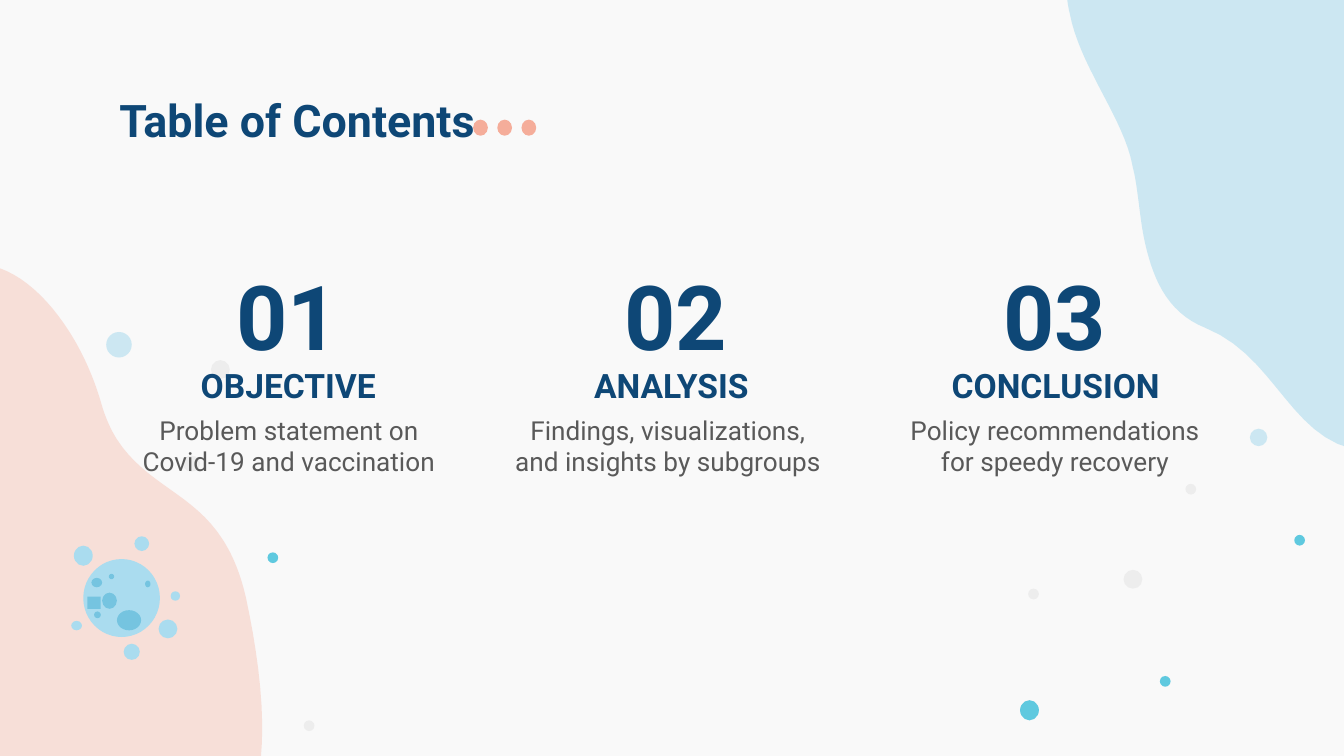
import pptx
import pptx.dml.color
import pptx.enum.shapes
import pptx.enum.text
import pptx.oxml
import pptx.oxml.ns
import pptx.util
from pptx.util import Inches

RGBColor = pptx.dml.color.RGBColor
MSO_SHAPE = pptx.enum.shapes.MSO_SHAPE
PP_ALIGN = pptx.enum.text.PP_ALIGN
MSO_ANCHOR = pptx.enum.text.MSO_ANCHOR

BACKGROUND = RGBColor(0xF9, 0xF9, 0xF9)
NAVY = RGBColor(0x0E, 0x47, 0x76)
GRAY = RGBColor(0x59, 0x59, 0x59)
PALE_GRAY = RGBColor(0xED, 0xED, 0xED)
SKY = RGBColor(0xAA, 0xDB, 0xEE)
TEAL = RGBColor(0x02, 0xAC, 0xD0)
CORAL = RGBColor(0xF5, 0xAD, 0x9A)
VIRUS_LIGHT = RGBColor(0xAA, 0xDC, 0xEF)
VIRUS_DARK = RGBColor(0x75, 0xC4, 0xE0)
FONT = "Roboto"
CURVE_STEPS = 16

# Each blob: start point, then (control, control, end) for every curve
BLUE_BLOB = ((7.96, 0.1), [
    (8.03, 0.47, 8.32, 0.83, 8.41, 1.16), (8.42, 1.2, 8.43, 1.25, 8.44, 1.29),
    (8.47, 1.44, 8.48, 1.6, 8.51, 1.76), (8.57, 2.05, 8.67, 2.32, 8.97, 2.44),
    (9.59, 2.69, 9.62, 3.5, 10.44, 3.34), (11, 3.23, 11.23, 2.33, 11.34, 1.67),
    (11.37, 1.49, 11.37, 1.34, 11.35, 1.21), (11.27, 0.81, 10.97, 0.62, 10.9, 0.22),
    (10.88, 0.13, 10.87, 0.03, 10.88, -0.08), (10.9, -0.26, 10.89, -0.46, 10.86, -0.66),
    (10.79, -1.02, 10.61, -1.35, 10.28, -1.42), (9.04, -1.65, 8.09, -0.67, 7.97, -0.26),
    (7.93, -0.14, 7.93, -0.02, 7.96, 0.1)])
PINK_BLOB = ((-1.9, 4.24), [
    (-1.7, 4.56, -1.29, 4.79, -1.09, 5.07), (-1.06, 5.1, -1.04, 5.14, -1.01, 5.17),
    (-0.93, 5.3, -0.85, 5.45, -0.77, 5.59), (-0.61, 5.83, -0.42, 6.04, -0.09, 6.04),
    (0.58, 6.05, 0.9, 6.78, 1.61, 6.33), (2.08, 6.03, 1.97, 5.1, 1.83, 4.45),
    (1.79, 4.27, 1.73, 4.13, 1.66, 4.02), (1.44, 3.67, 1.09, 3.61, 0.87, 3.27),
    (0.82, 3.19, 0.78, 3.1, 0.75, 2.99), (0.7, 2.82, 0.62, 2.63, 0.51, 2.46),
    (0.31, 2.15, 0.03, 1.91, -0.3, 1.97), (-1.55, 2.22, -2.06, 3.48, -2.02, 3.9),
    (-2.01, 4.03, -1.97, 4.14, -1.9, 4.24)])

# Scattered dots: left, top, width, height
SKY_DOTS = [(0.79, 2.47, 0.19, 0.19), (9.3, 3.19, 0.13, 0.13)]
TEAL_DOTS = [(1.99, 4.11, 0.08, 0.08), (8.63, 5.03, 0.08, 0.08),
             (7.59, 5.21, 0.14, 0.15), (9.63, 3.98, 0.08, 0.08)]
GRAY_DOTS = [(1.36, 3.39, 0.13, 0.12), (2.26, 5.36, 0.08, 0.08),
             (1.57, 2.68, 0.14, 0.14), (8.82, 3.6, 0.08, 0.08),
             (7.65, 4.38, 0.08, 0.08), (8.36, 4.24, 0.14, 0.14)]
VIRUS_BODY = [(0.92, 4.79, 0.12, 0.12), (1, 3.99, 0.11, 0.11),
              (1.18, 4.61, 0.14, 0.14), (0.55, 4.06, 0.14, 0.15),
              (0.53, 4.62, 0.08, 0.07), (1.27, 4.4, 0.07, 0.07),
              (0.62, 4.16, 0.57, 0.58)]
VIRUS_SPOTS = [(0.7, 4.55, 0.05, 0.05), (0.76, 4.41, 0.11, 0.12),
               (0.87, 4.54, 0.18, 0.15), (0.68, 4.3, 0.08, 0.07),
               (1.08, 4.32, 0.04, 0.05), (0.81, 4.27, 0.04, 0.04)]

# Columns: number, heading, text, and the left edge of each
COLUMNS = [
    ("01", "OBJECTIVE", "Problem statement on Covid-19 and vaccination", 1.11, 1, 0.86),
    ("02", "ANALYSIS", "Findings, visualizations, and insights by subgroups", 4, 3.85, 3.68),
    ("03", "CONCLUSION", "Policy recommendations for speedy recovery", 6.82, 6.71, 6.56),
]


def paint(shape, color, opacity=100):
    shape.shadow.inherit = False
    shape.fill.solid()
    shape.fill.fore_color.rgb = color
    shape.line.fill.background()
    if opacity < 100:
        fill_color = shape.fill._xPr.find(".//" + pptx.oxml.ns.qn("a:srgbClr"))
        fill_color.append(pptx.oxml.parse_xml(
            f'<a:alpha {pptx.oxml.ns.nsdecls("a")} val="{opacity * 1000}"/>'))


def add_blob(slide, blob, color, opacity):
    start, curves = blob
    points = [start]
    for x1, y1, x2, y2, x3, y3 in curves:
        x0, y0 = points[-1]
        for step in range(1, CURVE_STEPS + 1):
            t = step / CURVE_STEPS
            a, b, c, d = (1 - t) ** 3, 3 * t * (1 - t) ** 2, 3 * t * t * (1 - t), t ** 3
            points.append((a * x0 + b * x1 + c * x2 + d * x3,
                           a * y0 + b * y1 + c * y2 + d * y3))
    corners = [(Inches(x), Inches(y)) for x, y in points]
    builder = slide.shapes.build_freeform(*corners[0])
    builder.add_line_segments(corners[1:], close=True)
    paint(builder.convert_to_shape(), color, opacity)


def add_shapes(slide, boxes, color, opacity=100, kind=MSO_SHAPE.OVAL):
    for box in boxes:
        shape = slide.shapes.add_shape(kind, *map(Inches, box))
        paint(shape, color, opacity)


def add_text(slide, text, box, size, color=NAVY, bold=True,
             align=PP_ALIGN.CENTER, anchor=MSO_ANCHOR.MIDDLE):
    frame = slide.shapes.add_textbox(*map(Inches, box)).text_frame
    frame.word_wrap = True
    frame.vertical_anchor = anchor
    frame.margin_left = frame.margin_right = Inches(0.1)
    frame.margin_top = frame.margin_bottom = Inches(0.1)
    paragraph = frame.paragraphs[0]
    paragraph.alignment = align
    run = paragraph.add_run()
    run.text = text
    run.font.name = FONT
    run.font.size = pptx.util.Pt(size)
    run.font.bold = bold
    run.font.color.rgb = color


def add_column(slide, number, heading, text, number_left, heading_left, text_left):
    add_text(slide, number, (number_left, 2.1, 2.06, 0.48), 48)
    add_text(slide, heading, (heading_left, 2.73, 2.29, 0.27), 18)
    add_text(slide, text, (text_left, 2.98, 2.58, 0.76), 14, GRAY, False,
             anchor=MSO_ANCHOR.TOP)


def main():
    # Widescreen slide, 16:9
    presentation = pptx.Presentation()
    presentation.slide_width = Inches(10)
    presentation.slide_height = Inches(10 * 9 / 16)
    slide = presentation.slides.add_slide(presentation.slide_layouts[6])
    slide.background.fill.solid()
    slide.background.fill.fore_color.rgb = BACKGROUND

    # Corner blobs and scattered dots
    add_blob(slide, BLUE_BLOB, SKY, 57)
    add_blob(slide, PINK_BLOB, CORAL, 34)
    add_shapes(slide, SKY_DOTS, SKY, 57)
    add_shapes(slide, TEAL_DOTS, TEAL, 62)
    add_shapes(slide, GRAY_DOTS, PALE_GRAY)

    # Virus
    add_shapes(slide, VIRUS_BODY, VIRUS_LIGHT)
    add_shapes(slide, [(0.65, 4.44, 0.1, 0.09)], VIRUS_DARK, kind=MSO_SHAPE.RECTANGLE)
    add_shapes(slide, VIRUS_SPOTS, VIRUS_DARK)

    # Title with its three dots
    add_text(slide, "Table of Contents", (0.79, 0.59, 8.43, 0.52), 24,
             align=PP_ALIGN.LEFT, anchor=MSO_ANCHOR.TOP)
    add_shapes(slide, [(3.52 + 0.18 * i, 0.89, 0.11, 0.12) for i in range(3)], CORAL)

    # Contents columns
    for column in COLUMNS:
        add_column(slide, *column)

    presentation.save("out.pptx")


if __name__ == "__main__":
    main()
